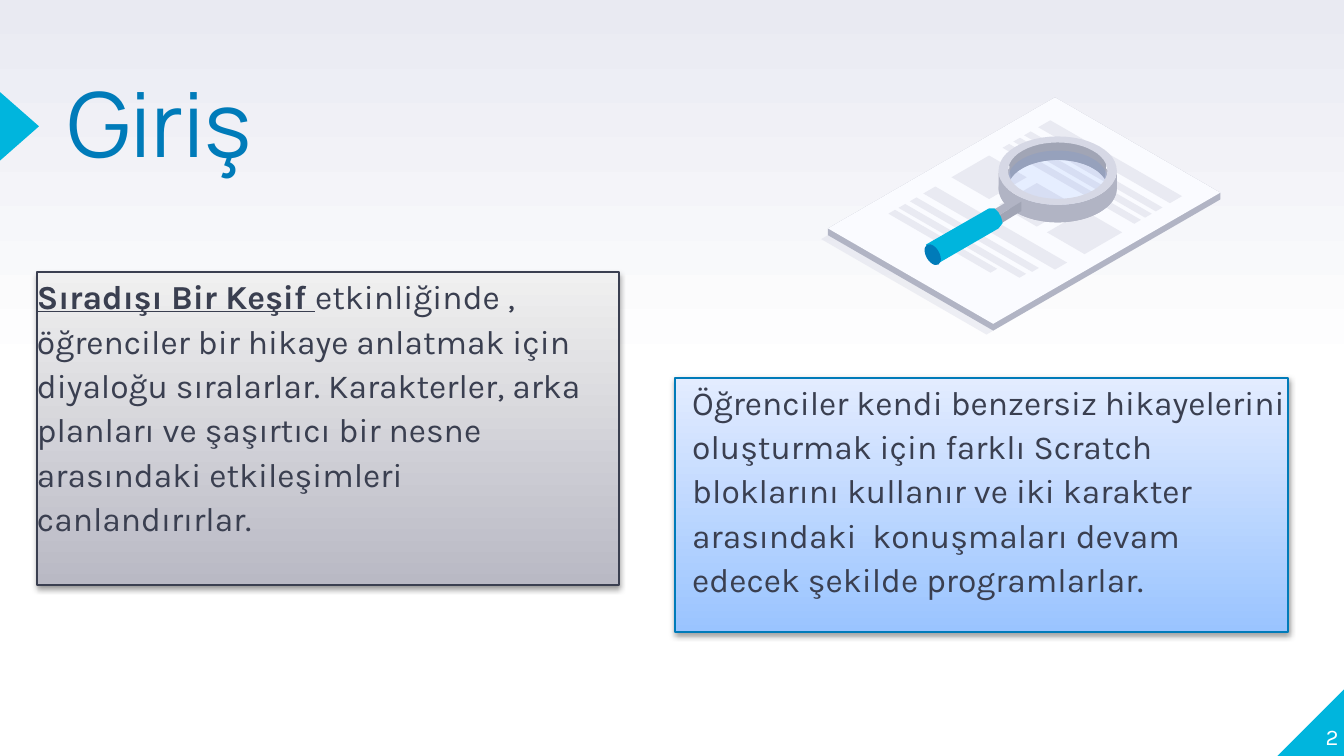
"""Build the "Giriş" introduction slide on a grid of tenth-inch cells."""
import math
from typing import NamedTuple

from lxml import etree
from pptx import Presentation
from pptx.dml.color import RGBColor
from pptx.enum.shapes import MSO_SHAPE
from pptx.enum.text import MSO_ANCHOR, MSO_AUTO_SIZE, PP_ALIGN
from pptx.oxml.ns import qn
from pptx.util import Inches, Pt

CELL = Inches(0.1)
COLUMNS, ROWS = 100, 56.25
FINE = 100
TWO_CONTENT = 3
RIGHT_TRIANGLE, TRIANGLE, OVAL = MSO_SHAPE.RIGHT_TRIANGLE, MSO_SHAPE.ISOSCELES_TRIANGLE, MSO_SHAPE.OVAL
TOP, BOTTOM = MSO_ANCHOR.TOP, MSO_ANCHOR.BOTTOM
LEFT, RIGHT = PP_ALIGN.LEFT, PP_ALIGN.RIGHT
NO_FIT = MSO_AUTO_SIZE.NONE

WHITE = RGBColor(0xFF, 0xFF, 0xFF)
LAVENDER = RGBColor(0xE9, 0xEA, 0xF2)
CYAN = RGBColor(0x00, 0xB5, 0xDD)
BLUE = RGBColor(0x00, 0x7B, 0xB9)
INK = RGBColor(0x3A, 0x3F, 0x50)
PAPER = RGBColor(0xFA, 0xFB, 0xFF)
SILVER = RGBColor(0xD6, 0xD8, 0xE5)
STEEL = RGBColor(0xB1, 0xB4, 0xC4)
DARK_STEEL = RGBColor(0xA1, 0xA5, 0xB5)
GLASS = RGBColor(0x3E, 0x7E, 0xFF)
GRAY_TOP, GRAY_BOTTOM = RGBColor(0xF0, 0xF0, 0xF0), RGBColor(0xB9, 0xB9, 0xC4)
SKY_TOP, SKY_BOTTOM = RGBColor(0xE3, 0xEC, 0xFF), RGBColor(0x9A, 0xC4, 0xFF)

SLOPE = math.tan(math.pi / 6)
PAPER_LENGTH, PAPER_WIDTH = 12.3, 16.9
LENS_X, LENS_TOP, LENS_BASE = 78.7, 12.7, 14
OUTER, INNER = (4.4, 2.55), (3.7, 2.1)

Point = tuple[float, float]


class Frame(NamedTuple):
    """Left, top, width and height in grid cells."""
    left: float
    top: float
    width: float
    height: float


class Tile(NamedTuple):
    """An isometric tile on the paper: down and up offsets, then extents."""
    down: float
    up: float
    length: float
    width: float


class Span(NamedTuple):
    """A stretch of text with one emphasis."""
    text: str
    strong: bool = False


class Card(NamedTuple):
    """A shaded text box filled from a body placeholder."""
    index: int
    frame: Frame
    indent: float
    top_color: RGBColor
    bottom_color: RGBColor
    edge: RGBColor
    spans: list[Span]


CARDS = [
    Card(1, Frame(50.25, 28.1, 45.6, 18.9), 1.25, SKY_TOP, SKY_BOTTOM, BLUE, [
        Span("Öğrenciler kendi benzersiz hikayelerini oluşturmak için farklı Scratch bloklarını kullanır "
             "ve iki karakter arasındaki  konuşmaları devam edecek şekilde programlarlar.")]),
    Card(2, Frame(2.75, 20.25, 43.3, 23.3), 0, GRAY_TOP, GRAY_BOTTOM, INK, [
        Span("Sıradışı Bir Keşif ", True),
        Span("etkinliğinde , öğrenciler bir hikaye anlatmak için diyaloğu sıralarlar. Karakterler, "
             "arka planları ve şaşırtıcı bir nesne arasındaki etkileşimleri canlandırırlar.")]),
]
STRIPES = [Tile(1.3, up, length, width) for up, length, width in (
    (14.35, 9.8, 0.9), (13.3, 9.8, 0.5), (12.5, 9.8, 0.5), (11.7, 9.8, 0.5),
    (5.8, 9.8, 0.9), (4.8, 9.1, 0.5), (3.95, 9, 0.5), (3.2, 7.6, 0.5))]
BLOCKS = [Tile(1.3 + 3.55 * step, 7.9, 2.8, 2.8) for step in range(3)]
HANDLE = [(69.8, 19.6), (68.9, 18.2), (73.6, 15.5), (74, 15.5), (74.3, 15.8),
          (74.5, 16.2), (74.6, 16.6), (74.3, 17)]


def place(box, frame: Frame) -> None:
    """Move and size a box by its grid frame."""
    for name, cells in frame._asdict().items():
        setattr(box, name, round(cells * CELL))


def set_values(target, values: dict) -> None:
    """Set each named attribute."""
    for name, value in values.items():
        setattr(target, name, value)


def set_gradient(fill, bottom: RGBColor, top: RGBColor, start: float = 0) -> None:
    """Fill upward from one colour to another."""
    fill.gradient()
    fill.gradient_angle = 90
    for stop, color, position in zip(fill.gradient_stops, (bottom, top), (start, 1)):
        stop.color.rgb = color
        stop.position = position


def paint(shape, color: RGBColor, opacity: int = 100):
    """Give a shape a flat fill without line or shadow."""
    shape.shadow.inherit = False
    shape.line.fill.background()
    shape.fill.solid()
    shape.fill.fore_color.rgb = color
    if opacity < 100:
        color_node = shape._element.spPr.find(qn("a:solidFill"))[0]
        etree.SubElement(color_node, qn("a:alpha"), val=str(opacity * 1000))
    return shape


def add_preset(page, kind, frame: Frame, color: RGBColor, rotation: int):
    """Draw a rotated preset shape."""
    shape = page.shapes.add_shape(kind, 0, 0, CELL, CELL)
    place(shape, frame)
    shape.rotation = rotation
    return paint(shape, color)


def add_outline(page, color: RGBColor, *contours: list[Point], opacity: int = 100):
    """Draw closed contours as one freeform, in hundredths of a cell."""
    fine = [[(x * FINE, y * FINE) for x, y in points] for points in contours]
    builder = page.shapes.build_freeform(*fine[0][0], scale=CELL / FINE)
    for number, points in enumerate(fine):
        if number:
            builder.move_to(*points[0])
        builder.add_line_segments(points[1:], close=True)
    return paint(builder.convert_to_shape(), color, opacity)


def tile_points(tile: Tile, origin: Point = (61.6, 17)) -> list[Point]:
    """Return left, bottom, right and top corners of an isometric tile."""
    down, up, length, width = tile
    corners = ((down, up), (down + length, up), (down + length, up + width), (down, up + width))
    return [(origin[0] + a + b, origin[1] + SLOPE * (a - b)) for a, b in corners]


def arc(middle: float, radii: Point, start: int = 0, end: int = 360) -> list[Point]:
    """Return points along a lens ellipse, clockwise from the right."""
    angles = [math.radians(start + (end - start) * step / 48) for step in range(49)]
    return [(LENS_X + radii[0] * math.cos(angle), middle + radii[1] * math.sin(angle)) for angle in angles]


def write(box, spans: list[Span], font: dict, color: RGBColor, para_values: dict, anchor=TOP):
    """Write one paragraph into a box without margins."""
    frame = box.text_frame
    set_values(frame, {"word_wrap": True, "auto_size": NO_FIT, "vertical_anchor": anchor,
                       "margin_left": 0, "margin_top": 0, "margin_right": 0, "margin_bottom": 0})
    para = frame.paragraphs[0]
    set_values(para, para_values)
    for text, strong in spans:
        span = para.add_run()
        span.text = text
        set_values(span.font, {**font, "bold": strong, "underline": strong})
        span.font.color.rgb = color
    return para


def add_card(page, card: Card) -> None:
    """Format a body placeholder as a shaded card."""
    box = page.placeholders[card.index]
    place(box, card.frame)
    set_gradient(box.fill, card.bottom_color, card.top_color)
    box.line.color.rgb = card.edge
    box.line.width = Pt(1)
    effects = etree.SubElement(box._element.spPr, qn("a:effectLst"))
    shadow = etree.SubElement(effects, qn("a:outerShdw"), blurRad="40000", dist="20000", dir="5400000", rotWithShape="0")
    black = etree.SubElement(shadow, qn("a:srgbClr"), val="000000")
    etree.SubElement(black, qn("a:alpha"), val="38000")
    para = write(box, card.spans, {"name": "Karla", "size": Pt(18)}, INK,
                 {"alignment": LEFT, "line_spacing": 1.1, "space_before": Pt(6)})
    properties = para._p.get_or_add_pPr()
    properties.set("marL", str(round(card.indent * CELL)))
    properties.set("indent", "0")
    etree.SubElement(properties, qn("a:buNone"))


def add_illustration(page) -> None:
    """Draw the printed sheet under a magnifying glass as one group."""
    sheet = Tile(0, 0, PAPER_LENGTH, PAPER_WIDTH)
    left, bottom, right, top = tile_points(sheet)
    edge = [left, *((x, y + 0.5) for x, y in (left, bottom, right)), right, top]
    wall = arc(LENS_BASE, INNER, 200, 340) + arc(LENS_TOP, (3.9, 2.3), 340, 200)
    band = arc(LENS_BASE, OUTER, 0, 180) + arc(LENS_TOP, OUTER, 180, 0)
    band_hole = arc(LENS_TOP, INNER)
    parts = [add_outline(page, SILVER, tile_points(sheet, (61.1, 17.8)), opacity=40),
             add_outline(page, STEEL, edge), add_outline(page, PAPER, [left, bottom, right, top])]
    parts += [add_outline(page, LAVENDER, tile_points(tile)) for tile in STRIPES + BLOCKS]
    parts += [
        add_outline(page, STEEL, arc(LENS_BASE, OUTER), arc(LENS_BASE, INNER)),
        add_outline(page, DARK_STEEL, wall),
        add_outline(page, GLASS, arc(13.3, INNER), opacity=10),
        add_outline(page, STEEL, band),
        add_outline(page, SILVER, arc(LENS_TOP, OUTER), band_hole),
        add_outline(page, STEEL, [(76, 15), (74.2, 16.1), (73.6, 15.8), (75.5, 14.7)]),
        add_outline(page, DARK_STEEL, [(76, 15.7), (74.2, 16.8), (74.2, 16.1), (76, 15)]),
        add_outline(page, CYAN, HANDLE),
        add_preset(page, OVAL, Frame(68.9, 18.1, 1, 1.7), BLUE, 330)]
    page.shapes.add_group_shape(parts)


def main() -> None:
    """Build and save the deck."""
    deck = Presentation()
    deck.slide_width, deck.slide_height = COLUMNS * CELL, round(ROWS * CELL)
    page = deck.slides.add_slide(deck.slide_layouts[TWO_CONTENT])
    set_gradient(page.background.fill, WHITE, LAVENDER, 0.5)
    add_preset(page, RIGHT_TRIANGLE, Frame(95, 51.2, 5.1, 5.1), CYAN, 270)
    add_preset(page, TRIANGLE, Frame(-1.1, 7.95, 5.1, 2.9), CYAN, 90)
    title = page.shapes.title
    place(title, Frame(5, 6.6, 61.7, 11.8))
    write(title, [Span("Giriş")], {"name": "Manrope", "size": Pt(48)}, BLUE, {"alignment": LEFT, "line_spacing": 0.8})
    for card in CARDS:
        add_card(page, card)
    number = page.shapes.add_textbox(0, 0, CELL, CELL)
    place(number, Frame(94.6, 50.7, 5, 5.1))
    write(number, [Span("2")], {"name": "Karla", "size": Pt(12)}, WHITE, {"alignment": RIGHT}, BOTTOM)
    add_illustration(page)
    deck.save("out.pptx")


if __name__ == "__main__":
    main()
